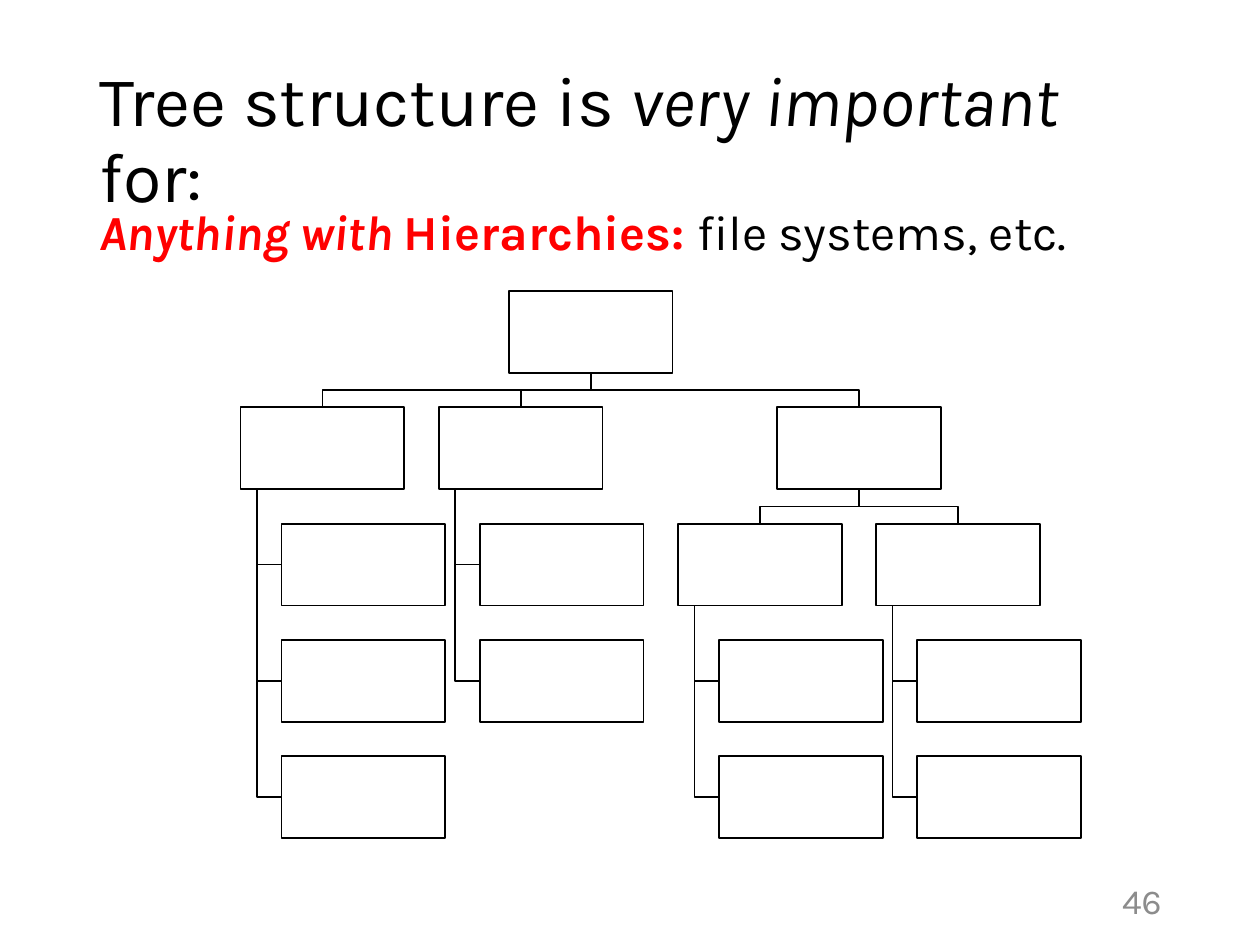
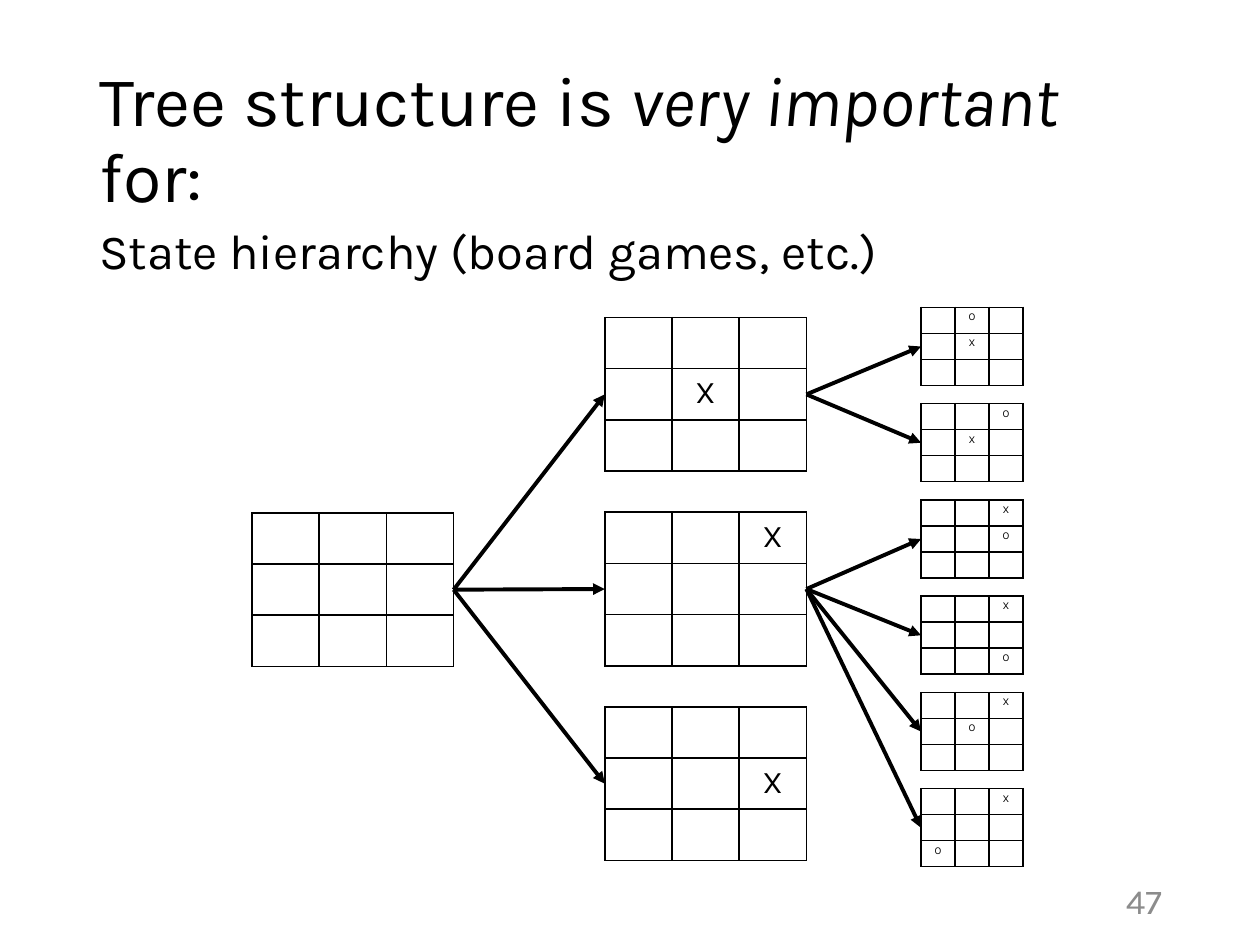
from lxml import etree
from pptx import Presentation, util as u
from pptx.dml.color import RGBColor
from pptx.enum import shapes, text
from pptx.oxml.ns import qn

BLACK, WHITE, RED, GREY = "000000", "FFFFFF", "FF0000", "8C8C8C"
FONT = "Karla"

# Runs are (text, colour, bold, italic)
TITLE = [("Tree structure is ", BLACK, False, False),
         ("very important", BLACK, False, True),
         (" for:", BLACK, False, False)]
HIERARCHIES = [("Anything with ", RED, True, True),
               ("Hierarchies: ", RED, True, False),
               ("file systems, etc.", BLACK, False, False)]
STATES = [("State hierarchy (board games, etc.)", BLACK, False, False)]

# A number is a box with that many boxes hanging below it; a list is a box
# with its branches spread out below it.
TREE = [3, 2, [2, 2]]
TREE_LEFT, TREE_TOP = 1.91, 2.31
BOX_W, BOX_H = 1.3, 0.65
GAP = 0.21 * BOX_W
INDENT = BOX_W / 4
STEM = BOX_W / 10

# Each board is (rows, index of its parent in the level before)
LEVELS = [
    dict(left=2, width=1.6, height=1.22, first=4.07, last=4.07, size=18,
         margins=(0.1, 0.05), boards=[(("   ", "   ", "   "), None)]),
    dict(left=4.8, width=1.6, height=1.22, first=2.52, last=5.61, size=18,
         margins=(0.1, 0.05), boards=[(("   ", " X ", "   "), 0),
                                      (("  X", "   ", "   "), 0),
                                      (("   ", "  X", "   "), 0)]),
    dict(left=7.31, width=0.81, height=0.62, first=2.44, last=6.26, size=6,
         margins=(0.05, 0.03), boards=[((" O ", " X ", "   "), 0),
                                       (("  O", " X ", "   "), 0),
                                       (("  X", "  O", "   "), 1),
                                       (("  X", "   ", "  O"), 1),
                                       (("  X", " O ", "   "), 1),
                                       (("  X", "   ", "O  "), 1)]),
]


def rgb(colour):
    return RGBColor.from_string(colour)


def inches(*values):
    return [u.Inches(v) for v in values]


def write(p, runs, size):
    for words, colour, bold, italic in runs:
        r = p.add_run()
        r.text = words
        f = r.font
        f.name, f.size, f.bold, f.italic = FONT, u.Pt(size), bold, italic
        f.color.rgb = rgb(colour)


def fill_text(sp, runs, size, anchor, align=text.PP_ALIGN.LEFT):
    tf = sp.text_frame
    tf.word_wrap = True
    tf.auto_size = text.MSO_AUTO_SIZE.NONE
    tf.vertical_anchor = anchor
    p = tf.paragraphs[0]
    p.alignment = align
    write(p, runs, size)
    return p


def add_slide(prs, subtitle, subtitle_top, number):
    s = prs.slides.add_slide(prs.slide_layouts[5])
    title = s.shapes.title
    title.left, title.top, title.width, title.height = inches(0.69, 0.4, 8.62, 1.45)
    p = fill_text(title, TITLE, 40, text.MSO_ANCHOR.MIDDLE)
    p.line_spacing = 0.9
    sp = s.shapes.add_textbox(*inches(0.69, subtitle_top, 8.62, 0.66))
    p = fill_text(sp, subtitle, 28, text.MSO_ANCHOR.TOP)
    p.line_spacing, p.space_before = 0.9, u.Pt(10)
    sp = s.shapes.add_textbox(*inches(8.65, 6.95, 0.67, 0.4))
    fill_text(sp, [(str(number), GREY, False, False)], 20,
              text.MSO_ANCHOR.MIDDLE, text.PP_ALIGN.RIGHT)
    return s


def outline(sp):
    sp.shadow.inherit = False
    sp.line.color.rgb = rgb(BLACK)
    sp.line.width = u.Pt(1)


def add_box(s, left, row):
    top = TREE_TOP + row * (BOX_H + GAP)
    sp = s.shapes.add_shape(shapes.MSO_SHAPE.RECTANGLE, *inches(left, top, BOX_W, BOX_H))
    sp.fill.solid()
    sp.fill.fore_color.rgb = rgb(WHITE)
    outline(sp)
    return top


def add_path(s, *points):
    start, *rest = [inches(*point) for point in points]
    builder = s.shapes.build_freeform(*start)
    builder.add_line_segments(rest, close=False)
    sp = builder.convert_to_shape()
    sp.fill.background()
    outline(sp)


def add_branch(s, branch, left, row):
    """Draw a branch; return the centre of its top box and the next free left."""
    if isinstance(branch, int):
        bottom = add_box(s, left, row) + BOX_H
        for i in range(branch):
            middle = add_box(s, left + INDENT, row + 1 + i) + BOX_H / 2
            add_path(s, (left + STEM, bottom), (left + STEM, middle), (left + INDENT, middle))
        return left + BOX_W / 2, left + BOX_W + GAP

    centres = []
    for child in branch:
        if isinstance(child, list):
            left += INDENT
        centre, left = add_branch(s, child, left, row + 1)
        centres.append(centre)
    middle = (centres[0] + centres[-1]) / 2
    bottom = add_box(s, middle - BOX_W / 2, row) + BOX_H
    for centre in centres:
        add_path(s, (middle, bottom), (middle, bottom + GAP / 2),
                 (centre, bottom + GAP / 2), (centre, bottom + GAP))
    return middle, left


def format_cell(cell, mark, size, margins):
    cell.margin_left = cell.margin_right = u.Inches(margins[0])
    cell.margin_top = cell.margin_bottom = u.Inches(margins[1])
    tcPr = cell._tc.get_or_add_tcPr()
    for side in "LRTB":
        ln = etree.SubElement(tcPr, qn(f"a:ln{side}"), w=str(u.Pt(1)))
        fill = etree.SubElement(ln, qn("a:solidFill"))
        etree.SubElement(fill, qn("a:srgbClr"), val=BLACK)
    cell.fill.solid()
    cell.fill.fore_color.rgb = rgb(WHITE)
    p = cell.text_frame.paragraphs[0]
    p.alignment = text.PP_ALIGN.CENTER
    if mark.strip():
        write(p, [(mark, BLACK, False, False)], size)
    # The end mark's size keeps empty cells from stretching their row
    end = etree.SubElement(p._p, qn("a:endParaRPr"), sz=str(size * 100))
    etree.SubElement(end, qn("a:latin"), typeface=FONT)


def add_board(s, level, top, rows):
    box = inches(level["left"], top, level["width"], level["height"])
    table = s.shapes.add_table(len(rows), len(rows[0]), *box).table
    table.first_row = table.horz_banding = False
    for i, row in enumerate(rows):
        for j, mark in enumerate(row):
            format_cell(table.cell(i, j), mark, level["size"], level["margins"])


def add_arrow(s, start, end):
    c = s.shapes.add_connector(shapes.MSO_CONNECTOR.STRAIGHT, *inches(*start, *end))
    c.line.color.rgb = rgb(BLACK)
    c.line.width = u.Pt(2.25)
    etree.SubElement(c.line._get_or_add_ln(), qn("a:tailEnd"), type="triangle")
    etree.SubElement(c._element.spPr, qn("a:effectLst"))


def add_game_tree(s):
    arrows, parents = [], []
    for level in LEVELS:
        boards = level["boards"]
        step = (level["last"] - level["first"]) / max(len(boards) - 1, 1)
        exits = []
        for i, (rows, parent) in enumerate(boards):
            top = level["first"] + i * step
            middle = top + level["height"] / 2
            add_board(s, level, top, rows)
            exits.append((level["left"] + level["width"], middle))
            if parent is not None:
                arrows.append((parents[parent], (level["left"], middle)))
        parents = exits
    for start, end in arrows:
        add_arrow(s, start, end)


def main():
    prs = Presentation()
    prs.slide_width, prs.slide_height = inches(10, 7.5)
    add_branch(add_slide(prs, HIERARCHIES, 1.6, 46), TREE, TREE_LEFT, 0)
    add_game_tree(add_slide(prs, STATES, 1.75, 47))
    prs.save("out.pptx")


if __name__ == "__main__":
    main()
